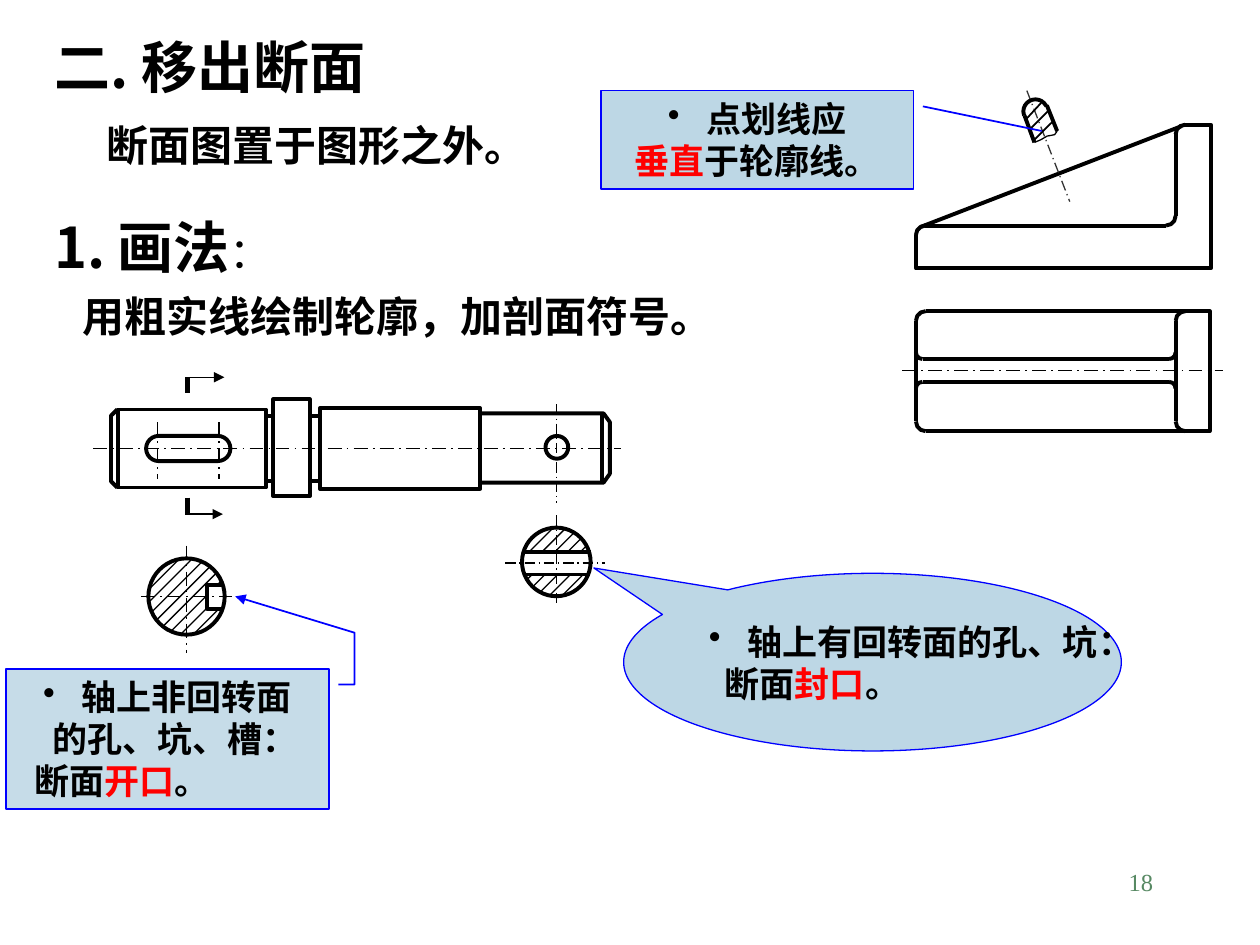
import math
from dataclasses import dataclass
from typing import Optional

import pptx
import pptx.dml.color
import pptx.enum.dml
import pptx.enum.shapes
import pptx.enum.text
import pptx.oxml
import pptx.oxml.ns
import pptx.util
from lxml import etree

Pt = pptx.util.Pt
RGB = pptx.dml.color.RGBColor.from_string
SHAPE = pptx.enum.shapes.MSO_SHAPE
ALIGN = pptx.enum.text.PP_ALIGN
qn = pptx.oxml.ns.qn


@dataclass(frozen=True)
class Theme:
    ink: str = "000000"
    grey: str = "333333"
    accent: str = "FF0000"
    border: str = "0000FF"
    callout: str = "BDD7E5"
    number: str = "578963"
    font: str = "Noto Sans CJK SC"
    number_font: str = "Times New Roman"
    heading: float = 32
    body: float = 24
    note: float = 20
    page: float = 14


THEME = Theme()


@dataclass(frozen=True)
class Stroke:
    width: float
    color: str = THEME.ink
    dashed: bool = False
    arrow: bool = False


OUTLINE = Stroke(2.25)
THIN = Stroke(0.75)
HATCH = Stroke(1)
CUT = Stroke(3)
AXIS = Stroke(1, dashed=True)
FINE_AXIS = Stroke(0.75, dashed=True)
ARROW = Stroke(0.75, arrow=True)


@dataclass(frozen=True)
class Run:
    text: str
    color: str = THEME.ink
    size: Optional[float] = None
    bold: bool = True


@dataclass(frozen=True)
class Section:
    """A hatched round section with a rectangular void (left, top, right, bottom)."""
    x: float
    y: float
    radius: float
    void: tuple
    first: float
    count: int
    step: float = 7.3


def apply_stroke(line, stroke: Stroke) -> None:
    line.color.rgb = RGB(stroke.color)
    line.width = Pt(stroke.width)
    if stroke.dashed:
        line.dash_style = pptx.enum.dml.MSO_LINE.LONG_DASH_DOT
    if stroke.arrow:
        etree.SubElement(line._get_or_add_ln(), qn("a:tailEnd"), type="triangle")


def draw_lines(shapes, stroke: Stroke, *segments: tuple) -> None:
    for segment in segments:
        connector = shapes.add_connector(
            pptx.enum.shapes.MSO_CONNECTOR.STRAIGHT, *map(Pt, segment))
        apply_stroke(connector.line, stroke)
        etree.SubElement(connector._element.spPr, qn("a:effectLst"))


def draw_path(shapes, stroke: Stroke, *points: tuple) -> None:
    start, *rest = [(Pt(x), Pt(y)) for x, y in points]
    builder = shapes.build_freeform(*start, scale=1.0)
    builder.add_line_segments(rest, close=False)
    shape = builder.convert_to_shape()
    shape.shadow.inherit = False
    shape.fill.background()
    apply_stroke(shape.line, stroke)


def draw_shape(shapes, kind, box: tuple, stroke: Stroke, fill: Optional[str] = None,
               adjustments: tuple = ()):
    shape = shapes.add_shape(kind, *map(Pt, box))
    shape.shadow.inherit = False
    for index, value in enumerate(adjustments):
        shape.adjustments[index] = value
    if fill:
        shape.fill.solid()
        shape.fill.fore_color.rgb = RGB(fill)
    else:
        shape.fill.background()
    apply_stroke(shape.line, stroke)
    return shape


def draw_circle(shapes, x: float, y: float, radius: float) -> None:
    draw_shape(shapes, SHAPE.OVAL, (x - radius, y - radius, 2 * radius, 2 * radius), OUTLINE)


def draw_arc(shapes, x: float, y: float, radius: float, start: float, end: float) -> None:
    """Clockwise arc about (x, y); angles are degrees from the right."""
    box = (x - radius, y - radius, 2 * radius, 2 * radius)
    draw_shape(shapes, SHAPE.ARC, box, OUTLINE, adjustments=(start * 0.6, end * 0.6))


def write(paragraph, *runs: Run, size: float, font: str = THEME.font, align=ALIGN.LEFT,
          margin: float = 0, hanging: float = 0, bullet: str = "", number: str = "",
          before: float = 0) -> None:
    paragraph.alignment = align
    if before:
        paragraph.space_before = Pt(before)
    properties = paragraph._p.get_or_add_pPr()
    properties.set("marL", str(Pt(margin)))
    properties.set("indent", str(Pt(-hanging)))
    if bullet:
        etree.SubElement(properties, qn("a:buChar"), char=bullet)
    if number:
        etree.SubElement(properties, qn("a:buAutoNum"), type=number)
    for item in runs:
        run = paragraph.add_run()
        run.text = item.text
        run.font.size = Pt(item.size or size)
        run.font.bold = item.bold
        run.font.color.rgb = RGB(item.color)
        run.font.name = font
        etree.SubElement(run._r.get_or_add_rPr(), qn("a:ea"), typeface=font)


def add_text_box(slide, *box: float):
    frame = slide.shapes.add_textbox(*map(Pt, box)).text_frame
    frame.word_wrap = True
    return frame


def draw_section(shapes, section: Section) -> None:
    draw_circle(shapes, section.x, section.y, section.radius)
    left, top, right, bottom = section.void
    for index in range(section.count):
        total = section.first + index * section.step  # each hatch line is x + y = total
        offset = (total - section.x - section.y) / 2
        half = math.sqrt(section.radius ** 2 / 2 - offset ** 2)
        begin, end = section.x + offset - half, section.x + offset + half
        enter, leave = max(left, total - bottom), min(right, total - top)
        pieces = [(begin, min(enter, end)), (max(leave, begin), end)]
        if enter >= leave:
            pieces = [(begin, end)]
        for x1, x2 in pieces:
            if x2 - x1 > 1:
                draw_lines(shapes, THIN, (x1, total - x1, x2, total - x2))


def draw_shaft(shapes) -> None:
    draw_lines(shapes, AXIS, (53.3, 256.3, 355, 256.3),
               *[(x, 241.2, x, 273.6) for x in (90, 125.3)])
    draw_lines(shapes, FINE_AXIS, (318.2, 231.1, 318.2, 287.3))
    for box in ((67.7, 234, 84.2, 44.6), (156.2, 228.2, 20.9, 55.4), (182.9, 233.3, 91.4, 46.1)):
        draw_shape(shapes, SHAPE.RECTANGLE, box, OUTLINE)
    draw_lines(shapes, OUTLINE, (343.8, 236.2, 343.8, 275.8),
               *[(x, y, x + 5, y) for x in (151.9, 177.1) for y in (237.6, 275)])
    draw_path(shapes, OUTLINE, (67, 234), (63.4, 237.6), (63.4, 275), (67, 278.6))
    draw_path(shapes, OUTLINE, (274.3, 236.2), (344.9, 236.2), (348.5, 241.2),
              (348.5, 270.7), (344.9, 275.8), (274.3, 275.8))
    draw_shape(shapes, SHAPE.ROUNDED_RECTANGLE, (83.5, 249.1, 48.2, 14.4), OUTLINE,
               adjustments=(0.5,))
    draw_circle(shapes, 318.2, 255.6, 6.5)
    draw_lines(shapes, CUT, (107.3, 215.3, 107.3, 224.6), (107.3, 284.4, 107.3, 294.5))
    draw_lines(shapes, ARROW, (106.6, 215.6, 128.2, 215.6), (106, 293.8, 127.4, 293.8))


def draw_keyway_section(shapes) -> None:
    draw_section(shapes, Section(106.6, 340.9, 21.8, (118.1, 334.1, 130, 347.8), 421.9, 8))
    draw_lines(shapes, AXIS, (106.6, 311.8, 106.6, 373), (80.6, 340.9, 132.5, 340.9))
    draw_path(shapes, OUTLINE, (127.4, 334.1), (118.1, 334.1), (118.1, 347.8), (127.4, 347.8))


def draw_hole_section(shapes) -> None:
    draw_section(shapes, Section(317.9, 321.1, 19.6, (290, 315.4, 340, 328.3), 617.8, 7))
    draw_lines(shapes, FINE_AXIS, (318.2, 294.5, 318.2, 346.3), (288.7, 321.8, 345.6, 321.8))
    draw_lines(shapes, OUTLINE, (298.8, 315.4, 337.7, 315.4), (300.2, 328.3, 336.2, 328.3))


def draw_bracket_front(shapes) -> None:
    draw_path(shapes, OUTLINE, (677.2, 71.3), (691.9, 71.3), (691.9, 153.4),
              (523.4, 153.4), (523.4, 134.5))
    draw_lines(shapes, OUTLINE, (528.8, 128.9, 666, 128.9), (671.8, 76.7, 671.8, 123.5),
               (526.3, 129.6, 675.4, 72))
    for corner in ((677.3, 76.8, 5.5, 180, 270), (528.9, 134.4, 5.5, 180, 270),
                   (666.3, 123.4, 5.5, 0, 90)):
        draw_arc(shapes, *corner)


def draw_rib_section(shapes) -> None:
    draw_lines(shapes, Stroke(0.75, THEME.grey, dashed=True), (586.8, 51.8, 611.3, 115.2))
    draw_arc(shapes, 591.7, 63.7, 6.9, 160, 335)
    draw_lines(shapes, OUTLINE, (598.2, 60.2, 604.1, 74.9), (585.4, 65.9, 591.1, 81.4))
    draw_path(shapes, THIN, (591.1, 81.4), (594.7, 79.9), (598.3, 77.8), (602.6, 77), (604.1, 74.9))
    draw_lines(shapes, HATCH, (586.1, 68.4, 595.4, 58.3), (588.2, 74.2, 599, 63.4),
               (591.1, 79.9, 601.2, 69.8))


def draw_bracket_plan(shapes) -> None:
    left, wall, right, top, bottom, radius = 523.4, 671.8, 691.2, 177.8, 246.4, 5.6
    rib_top, rib_bottom, fillet = 205.2, 218.2, 3.8
    draw_lines(shapes, AXIS, (515.5, 211.7, 699.1, 211.7))
    draw_path(shapes, OUTLINE, (left + radius, top), (right, top), (right, bottom),
              (left + radius, bottom))
    draw_lines(shapes, OUTLINE,
               *[(x, top + radius, x, bottom - radius) for x in (left, wall)],
               *[(left + fillet, y, wall - fillet, y) for y in (rib_top, rib_bottom)])
    for x in (left, wall):
        draw_arc(shapes, x + radius, top + radius, radius, 180, 270)
        draw_arc(shapes, x + radius, bottom - radius, radius, 90, 180)
    for x, upper, lower in ((left + fillet, 90, 180), (wall - fillet, 0, 270)):
        draw_arc(shapes, x, rib_top - fillet, fillet, upper, upper + 90)
        draw_arc(shapes, x, rib_bottom + fillet, fillet, lower, (lower + 90) % 360)


def add_callout(slide, kind, box: tuple, stroke: Stroke, adjustments: tuple, *lines: tuple,
                wrap: bool = True):
    """Each line is (runs, format); the first one carries the bullet."""
    shape = draw_shape(slide.shapes, kind, box, stroke, THEME.callout, adjustments)
    frame = shape.text_frame
    frame.word_wrap = wrap
    frame.vertical_anchor = pptx.enum.text.MSO_ANCHOR.MIDDLE
    for index, (runs, options) in enumerate(lines):
        paragraph = frame.add_paragraph() if index else frame.paragraphs[0]
        write(paragraph, *runs, size=THEME.note, **options)
    return shape


def add_callouts(slide) -> None:
    bulleted = {"bullet": "•", "margin": 22, "hanging": 22}
    centred = {"align": ALIGN.CENTER}
    indented = {"margin": 9}
    add_callout(slide, SHAPE.OVAL_CALLOUT, (356.4, 327.6, 284.4, 101.5),
                Stroke(0.75, THEME.border), (-0.56, -0.53),
                ([Run("轴上有回转面的孔、坑：")], bulleted),
                ([Run("断面"), Run("封口", THEME.accent), Run("。")], indented), wrap=False)
    keyway = add_callout(slide, SHAPE.LINE_CALLOUT_3, (3.6, 382.3, 184.3, 79.9),
                         Stroke(1, THEME.border, arrow=True),
                         (0.11, 1.03, 0.11, 1.08, -0.26, 1.08, -0.52, 0.71),
                         ([Run("轴上非回转面")], bulleted | centred),
                         ([Run("的孔、坑、槽：")], indented | centred),
                         ([Run("断面"), Run("开口", THEME.accent), Run("。")], indented))
    color = keyway._element.spPr.find(qn("a:solidFill")).find(qn("a:srgbClr"))
    etree.SubElement(color, qn("a:alpha"), val="86000")
    add_callout(slide, SHAPE.LINE_CALLOUT_1, (343.4, 51.8, 178.6, 56.2),
                Stroke(1, THEME.border), (0.16, 1.03, 0.41, 1.41),
                ([Run("点划线应")], bulleted | centred),
                ([Run("垂直", THEME.accent), Run("于轮廓线。")], centred))


def add_headings(slide) -> None:
    write(add_text_box(slide, 23.8, 15.1, 696, 45.4).paragraphs[0],
          Run("二. 移出断面"), size=THEME.heading)
    write(add_text_box(slide, 26.6, 64.8, 693, 36).paragraphs[0],
          Run("断面图置于图形之外。"), size=THEME.body, margin=27)
    method = add_text_box(slide, 23.8, 118.1, 696, 81.4)
    write(method.paragraphs[0], Run("画法"), Run("：", size=THEME.body, bold=False),
          size=THEME.heading, margin=36, hanging=36, number="arabicPeriod")
    write(method.add_paragraph(), Run("用粗实线绘制轮廓，加剖面符号。"),
          size=THEME.body, margin=16.5, before=6)
    write(add_text_box(slide, 516.2, 491.8, 149.8, 36).paragraphs[0],
          Run("18", THEME.number, bold=False), size=THEME.page, font=THEME.number_font,
          align=ALIGN.RIGHT)


def main() -> None:
    presentation = pptx.Presentation()
    presentation.slide_width, presentation.slide_height = Pt(720), Pt(540)
    slide = presentation.slides.add_slide(presentation.slide_layouts[6])
    add_headings(slide)
    for draw_view in (draw_keyway_section, draw_bracket_front, draw_rib_section,
                      draw_hole_section, draw_shaft, draw_bracket_plan):
        draw_view(slide.shapes.add_group_shape().shapes)
    add_callouts(slide)
    presentation.save("out.pptx")


if __name__ == "__main__":
    main()
